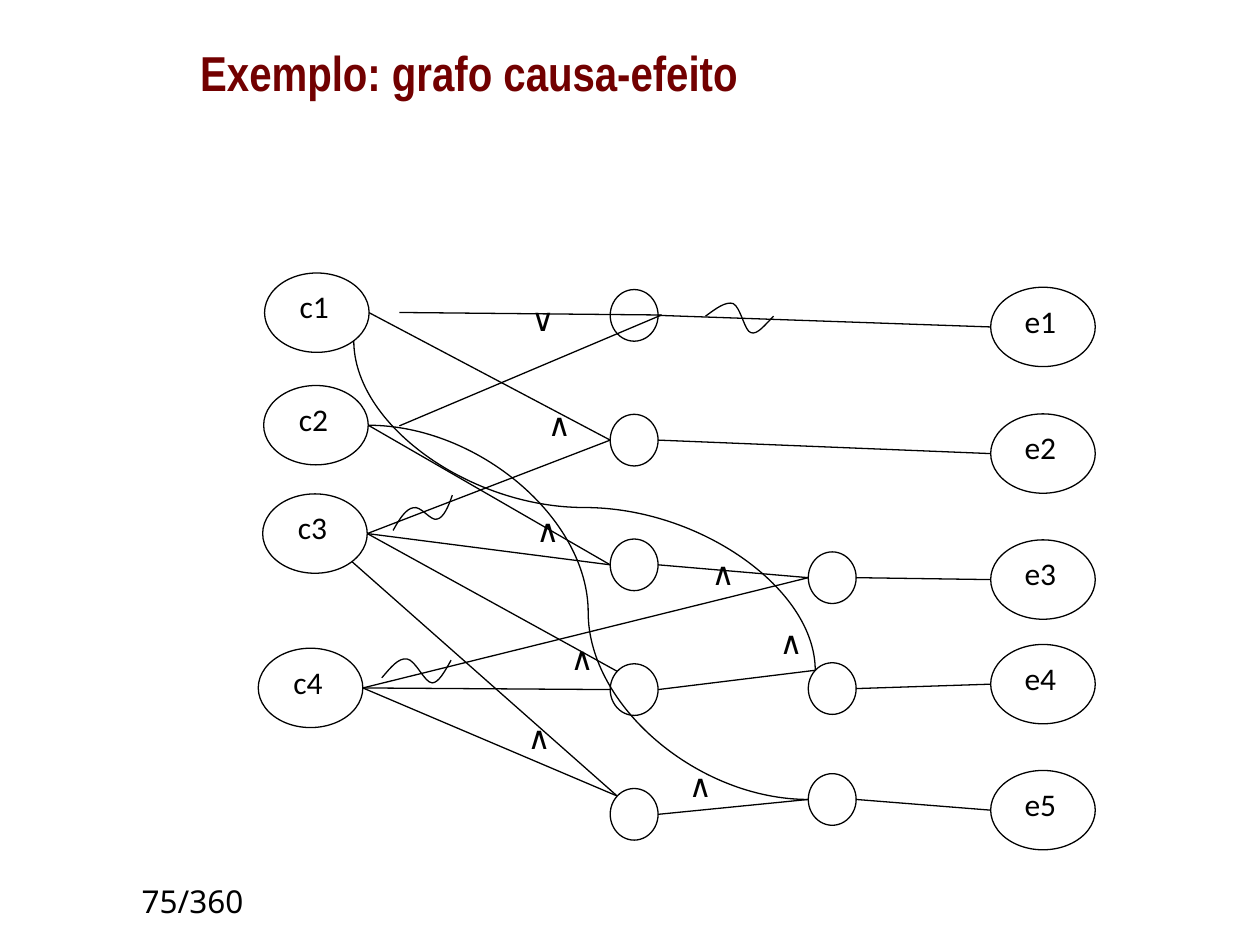
from math import cos, radians, sin

from lxml import etree
from pptx import Presentation
from pptx.dml.color import RGBColor
from pptx.enum.shapes import MSO_CONNECTOR, MSO_SHAPE
from pptx.enum.text import MSO_ANCHOR, PP_ALIGN
from pptx.oxml.ns import qn
from pptx.util import Inches, Pt

OVAL = MSO_SHAPE.OVAL
STRAIGHT, CURVE = MSO_CONNECTOR.STRAIGHT, MSO_CONNECTOR.CURVE
LEFT, CENTER, RIGHT = PP_ALIGN.LEFT, PP_ALIGN.CENTER, PP_ALIGN.RIGHT
MIDDLE, TOP = MSO_ANCHOR.MIDDLE, MSO_ANCHOR.TOP

COLORS = {"ink": "000000", "title": "720000"}
WIDTH, HEIGHT = Inches(10), Inches(7.5)
UNIT = WIDTH // 100  # the slide is a grid of 100 columns by 75 rows
LINE_WIDTH = Pt(0.75)
OUTER, GATE = (8.3, 6.3), (3.8, 4.1)
LABEL = (5, 4)

# Node centres, in grid units from the corner of the graph
CAUSES = {"c1": (5.15, 3.82), "c2": (5.08, 12.75), "c3": (5, 21.35), "c4": (4.65, 33.6)}
EFFECTS = {f"e{i}": (62.78, row) for i, row in enumerate((4.95, 15, 25, 33.3, 43.3), 1)}
GATES = {f"m{i + 1}": (30.33, 4.03 + 9.9 * i) for i in range(5)}
GATES |= {f"r{i}": (46.05, row) for i, row in enumerate((24.85, 33.65, 42.45), 3)}
NODES = {**CAUSES, **EFFECTS, **GATES}

ANGLES = {"E": 0, "SE": 45, "W": 180, "NW": 225}
LINKS = [
    ("m1", "E", "e1", "W"), ("c1", "E", "m2", "W"), ("c3", "E", "m2", "W"),
    ("m2", "E", "e2", "W"), ("c2", "E", "m3", "W"), ("c3", "E", "m3", "W"),
    ("m3", "E", "r3", "W"), ("c4", "E", "r3", "W"), ("r3", "E", "e3", "W"),
    ("m4", "E", "r4", "NW"), ("r4", "E", "e4", "W"), ("c3", "SE", "m5", "NW"),
    ("c4", "E", "m5", "NW"), ("c3", "E", "m4", "NW"), ("c4", "E", "m4", "W"),
    ("m5", "E", "r5", "W"), ("r5", "E", "e5", "W"),
]
OR_INPUTS, OR_JOIN = [(11.7, 3.8), (11.7, 12.8)], (32.5, 4)
OPERATORS = [
    ("∨", 23.1, 4.3), ("∧", 24.4, 12.65), ("∧", 23.5, 21.1), ("∧", 37.4, 24.5),
    ("∧", 26.2, 31.2), ("∧", 42.8, 29.95), ("∧", 22.8, 37.5), ("∧", 35.6, 41.3),
]
# Negation marks: a start, then three points for each curve
NEGATIONS = [
    [(36, 4.1), (36.8, 3.5), (37.6, 2.9), (38.2, 3.1), (38.8, 3.4),
     (39.1, 5.3), (39.6, 5.4), (40.1, 5.6), (40.7, 4.8), (41.4, 4.1)],
    [(11.2, 21.1), (11.7, 20.2), (12.2, 19.4), (12.8, 19.3), (13.4, 19.1),
     (14.2, 20.4), (14.7, 20.2), (15.2, 20.1), (15.6, 19.2), (15.9, 18.3)],
    [(10.3, 32.8), (11, 32), (11.6, 31.2), (12.3, 31.3), (13, 31.4),
     (13.7, 33.2), (14.3, 33.2), (14.8, 33.2), (15.3, 32.3), (15.8, 31.4)],
]


def grid(*values):
    """Turn grid units into slide lengths."""
    return [round(value * UNIT) for value in values]


def shift(origin, point):
    """Place a point relative to the corner of its region."""
    return origin[0] + point[0], origin[1] + point[1]


def style_line(line):
    """Give a line the ink colour and the common width."""
    line.color.rgb = RGBColor.from_string(COLORS["ink"])
    line.width = LINE_WIDTH


def add_text(slide, box, words, font="Calibri", size=18, color="ink", bold=False,
             align=CENTER, anchor=TOP, wrap=False):
    """Write one line of text in a box of grid units."""
    frame = slide.shapes.add_textbox(*grid(*box)).text_frame
    frame.word_wrap = wrap
    frame.vertical_anchor = anchor
    frame.text = words
    paragraph = frame.paragraphs[0]
    paragraph.alignment = align
    run_font = paragraph.runs[0].font
    run_font.name, run_font.size, run_font.bold = font, Pt(size), bold
    run_font.color.rgb = RGBColor.from_string(COLORS[color])


def add_label(slide, center, words):
    """Write a short label around a centre."""
    width, height = LABEL
    add_text(slide, (center[0] - width / 2, center[1] - height / 2, width, height), words)


def add_link(slide, start, end, kind=STRAIGHT):
    """Draw a connector between two points."""
    link = slide.shapes.add_connector(kind, *grid(*start, *end))
    style_line(link.line)
    etree.SubElement(link._element.spPr, qn("a:effectLst"))
    return link


def add_upright_curve(slide, start, end, bend):
    """Draw a curve that leaves and arrives vertically, with its turn at a share of the way."""
    middle_x, middle_y = (start[0] + end[0]) / 2, (start[1] + end[1]) / 2
    half_width, half_height = (end[1] - start[1]) / 2, (end[0] - start[0]) / 2
    curve = add_link(slide, (middle_x - half_width, middle_y - half_height),
                     (middle_x + half_width, middle_y + half_height), CURVE)
    properties = curve._element.spPr
    frame = properties.find(qn("a:xfrm"))
    frame.set("rot", "16200000")
    frame.set("flipH", "1")
    guides = properties.find(".//" + qn("a:avLst"))
    etree.SubElement(guides, qn("a:gd"), name="adj1", fmla=f"val {round(bend * 100000)}")


def add_negation(slide, points):
    """Draw a wavy mark through cubic curves."""
    corners = [tuple(grid(*point)) for point in points]
    builder = slide.shapes.build_freeform(*corners[0])
    builder.add_line_segments(corners[1:], close=False)
    wave = builder.convert_to_shape()
    wave.shadow.inherit = False
    wave.fill.background()
    style_line(wave.line)
    outline = wave._element.spPr.find(".//" + qn("a:path"))
    steps = outline.findall(qn("a:lnTo"))
    for first in range(0, len(steps), 3):
        cubic = etree.SubElement(outline, qn("a:cubicBezTo"))
        for step in steps[first:first + 3]:
            cubic.append(step[0])
            outline.remove(step)


def add_node(slide, center, size, name=None):
    """Draw an empty ellipse, with a label if it is named."""
    width, height = size
    node = slide.shapes.add_shape(
        OVAL, *grid(center[0] - width / 2, center[1] - height / 2, width, height))
    node.shadow.inherit = False
    node.fill.background()
    style_line(node.line)
    if name:
        add_label(slide, shift(center, (-0.2, -0.5)), name)


def draw_graph(slide, origin):
    """Draw the cause-effect graph from its top left corner."""
    def port(name, side):
        """Find a point on the rim of a node."""
        width, height = GATE if name in GATES else OUTER
        angle = radians(ANGLES[side])
        rim = width / 2 * cos(angle), height / 2 * sin(angle)
        return shift(origin, shift(NODES[name], rim))

    for name, center in NODES.items():
        is_gate = name in GATES
        add_node(slide, shift(origin, center), GATE if is_gate else OUTER,
                 None if is_gate else name)
    for source, source_side, target, target_side in LINKS:
        add_link(slide, port(source, source_side), port(target, target_side))
    for or_input in OR_INPUTS:
        add_link(slide, shift(origin, or_input), shift(origin, OR_JOIN))
    add_upright_curve(slide, port("c1", "SE"), port("r4", "NW"), 0.506)
    add_link(slide, port("c2", "E"), port("r5", "W"), CURVE)
    for symbol, *center in OPERATORS:
        add_label(slide, shift(origin, center), symbol)
    for wave in NEGATIONS:
        add_negation(slide, [shift(origin, point) for point in wave])


def build():
    """Build the slide and save it."""
    deck = Presentation()
    deck.slide_width, deck.slide_height = WIDTH, HEIGHT
    slide = deck.slides.add_slide(deck.slide_layouts[6])
    add_text(slide, (14.9, -0.55, 84.2, 12.5), "Exemplo: grafo causa-efeito",
             "Arial Narrow", 28, "title", True, LEFT, MIDDLE, True)
    draw_graph(slide, (20, 21))
    add_text(slide, (8.6, 69.5, 11.7, 3.9), "75/360", "Noto Sans", align=RIGHT, wrap=True)
    deck.save("out.pptx")


build()
